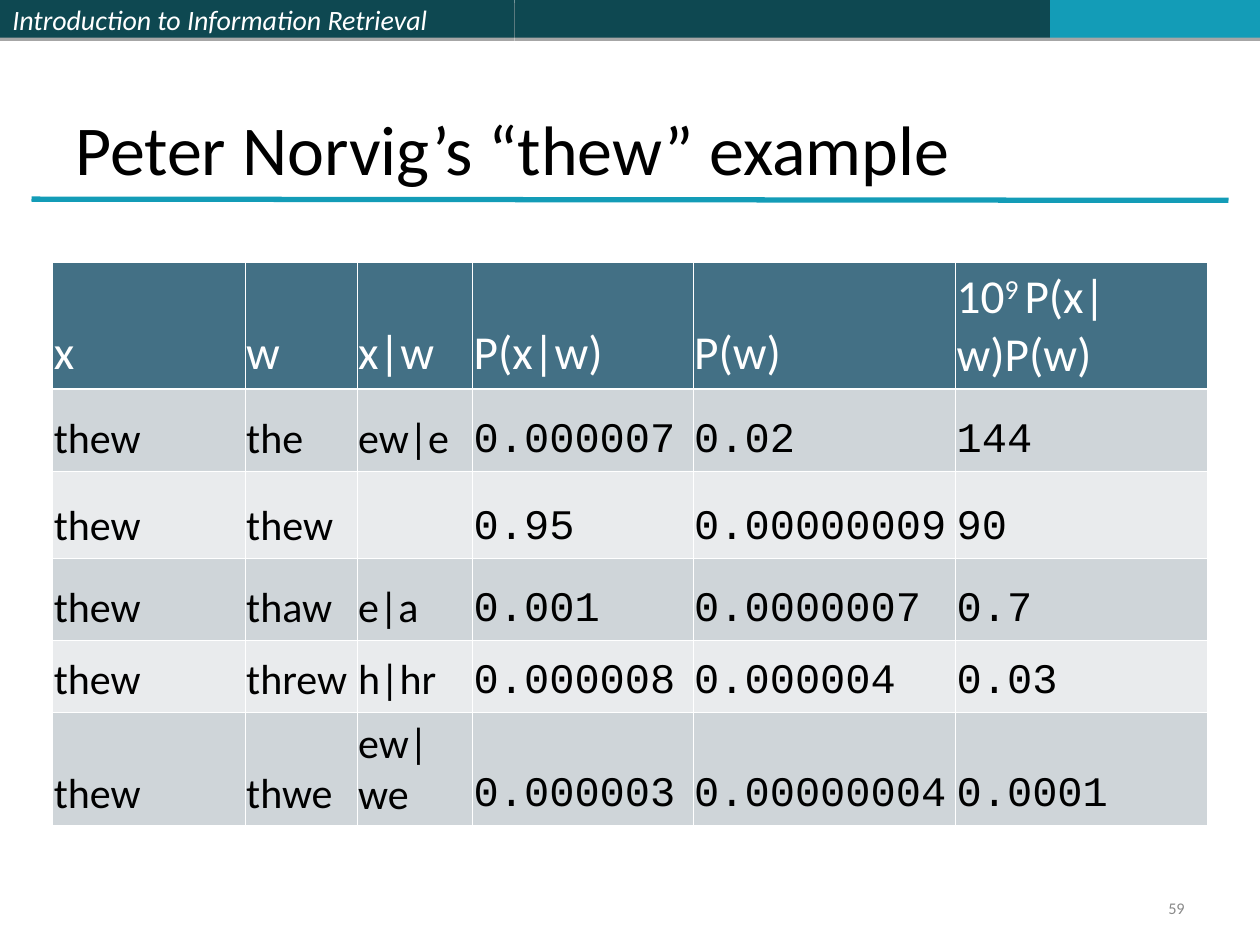
from lxml import etree
from pptx import Presentation
from pptx.dml.color import RGBColor
from pptx.enum.shapes import MSO_CONNECTOR, MSO_SHAPE
from pptx.enum.text import MSO_ANCHOR, PP_ALIGN
from pptx.oxml import parse_xml
from pptx.oxml.ns import nsdecls, qn
from pptx.util import Pt

RECT, LINE = MSO_SHAPE.RECTANGLE, MSO_CONNECTOR.STRAIGHT
MID, LOW = MSO_ANCHOR.MIDDLE, MSO_ANCHOR.BOTTOM
LEFT, RIGHT = PP_ALIGN.LEFT, PP_ALIGN.RIGHT
SANS, MONO = "Calibri", "Courier New"

HUES = {"dark": "0E4851", "teal": "139CB7", "head": "437085",
        "odd": "CFD5D9", "even": "E9EBED", "white": "FFFFFF",
        "black": "000000", "grey": "898989"}

COURSE = "Introduction to Information Retrieval"
TITLE = "Peter Norvig’s “thew” example"
PAGE = "59"
BANDS = [(294, "dark", COURSE), (306, "dark", ""), (120, "teal", "")]
HEADS = ["x", "w", "x|w", "P(x|w)", "P(w)", ("10", "9 ", "P(x|w)P(w)")]
ROWS = [
    ("thew", "the", "ew|e", "0.000007", "0.02", "144"),
    ("thew", "thew", "", "0.95", "0.00000009", "90"),
    ("thew", "thaw", "e|a", "0.001", "0.0000007", "0.7"),
    ("thew", "threw", "h|hr", "0.000008", "0.000004", "0.03"),
    ("thew", "thwe", "ew|we", "0.000003", "0.00000004", "0.0001"),
]
WIDTHS = [110, 64, 66, 126, 150, 144]
HEIGHTS = [66, 47, 50, 47, 41, 59]
THIN, THICK = 0.45, 1.47


def rgb(hue):
    """Return the named colour."""
    return RGBColor.from_string(HUES[hue])


def add_run(para, text, size, hue, face=SANS):
    """Add one styled run to a paragraph."""
    run = para.add_run()
    run.text = text
    run.font.size, run.font.name = Pt(size), face
    run.font.color.rgb = rgb(hue)
    return run


def set_frame(frame, anchor, align=LEFT):
    """Prepare a text frame and return its first paragraph."""
    frame.word_wrap = True
    frame.vertical_anchor = anchor
    para = frame.paragraphs[0]
    para.alignment = align
    return para


def add_text(slide, box, text, size, hue, anchor, align=LEFT):
    """Add a text box and return its paragraph."""
    shape = slide.shapes.add_textbox(*map(Pt, box))
    para = set_frame(shape.text_frame, anchor, align)
    add_run(para, text, size, hue)
    return para


def add_bands(slide):
    """Draw the bar along the top edge."""
    left = 0
    for width, hue, text in BANDS:
        band = slide.shapes.add_shape(RECT, Pt(left), 0, Pt(width), Pt(21.6))
        band.fill.solid()
        band.fill.fore_color.rgb = rgb(hue)
        band.line.fill.background()
        band.shadow.inherit = False
        glow = band._element.spPr.find(qn("a:effectLst"))
        glow.append(parse_xml(
            f'<a:outerShdw {nsdecls("a")} blurRad="0" dist="{Pt(1.8)}" '
            'dir="5400000" rotWithShape="0"><a:srgbClr val="000000">'
            '<a:alpha val="35000"/></a:srgbClr></a:outerShdw>'))
        if text:
            para = set_frame(band.text_frame, MID)
            add_run(para, text, 16, "white").font.italic = True
        left += width


def add_rule(slide):
    """Draw the line below the title."""
    rule = slide.shapes.add_connector(
        LINE, Pt(18), Pt(113.8), Pt(702), Pt(114.5))
    rule.line.color.rgb = rgb("teal")
    rule.line.width = Pt(3)
    etree.SubElement(rule._element.spPr, qn("a:effectLst"))


def set_edges(cell, row):
    """Give a cell white borders, thicker below the head row."""
    sides = {"L": THIN, "R": THIN, "T": THICK if row == 1 else THIN,
             "B": THICK if row == 0 else THIN}
    props = cell._tc.get_or_add_tcPr()
    for spot, (side, width) in enumerate(sides.items()):
        props.insert(spot, parse_xml(
            f'<a:ln{side} {nsdecls("a")} w="{Pt(width)}"><a:solidFill>'
            f'<a:srgbClr val="{HUES["white"]}"/></a:solidFill></a:ln{side}>'))


def fill_cell(cell, row, col, text):
    """Write and style one cell."""
    cell.margin_left = cell.margin_right = Pt(0.75)
    cell.vertical_anchor = LOW
    cell.fill.solid()
    hue = "head" if row == 0 else "odd" if row % 2 else "even"
    cell.fill.fore_color.rgb = rgb(hue)
    set_edges(cell, row)
    para = cell.text_frame.paragraphs[0]
    size, ink = (24, "black") if row else (27, "white")
    face = MONO if row and col > 2 else SANS
    parts = (text,) if isinstance(text, str) else text
    for spot, part in enumerate(parts):
        if part:
            run = add_run(para, part, size, ink, face)
            if spot == 1:
                run.font._element.set("baseline", "30000")


def add_grid(slide):
    """Build the table of word candidates."""
    data = [HEADS] + ROWS
    grid = slide.shapes.add_table(
        len(data), len(HEADS), Pt(30), Pt(150),
        Pt(sum(WIDTHS)), Pt(sum(HEIGHTS))).table
    for col, width in zip(grid.columns, WIDTHS):
        col.width = Pt(width)
    for row, line in enumerate(data):
        grid.rows[row].height = Pt(HEIGHTS[row])
        for col, text in enumerate(line):
            fill_cell(grid.cell(row, col), row, col, text)


deck = Presentation()
deck.slide_width, deck.slide_height = Pt(720), Pt(540)
slide = deck.slides.add_slide(deck.slide_layouts[6])
add_bands(slide)
add_rule(slide)
add_text(slide, (36, 21.6, 648, 90), TITLE, 40, "black", LOW)
note = add_text(slide, (516, 510, 168, 19.5), PAGE, 9.3, "grey", MID, RIGHT)
note.line_spacing = 0.8
add_grid(slide)
deck.save("out.pptx")
